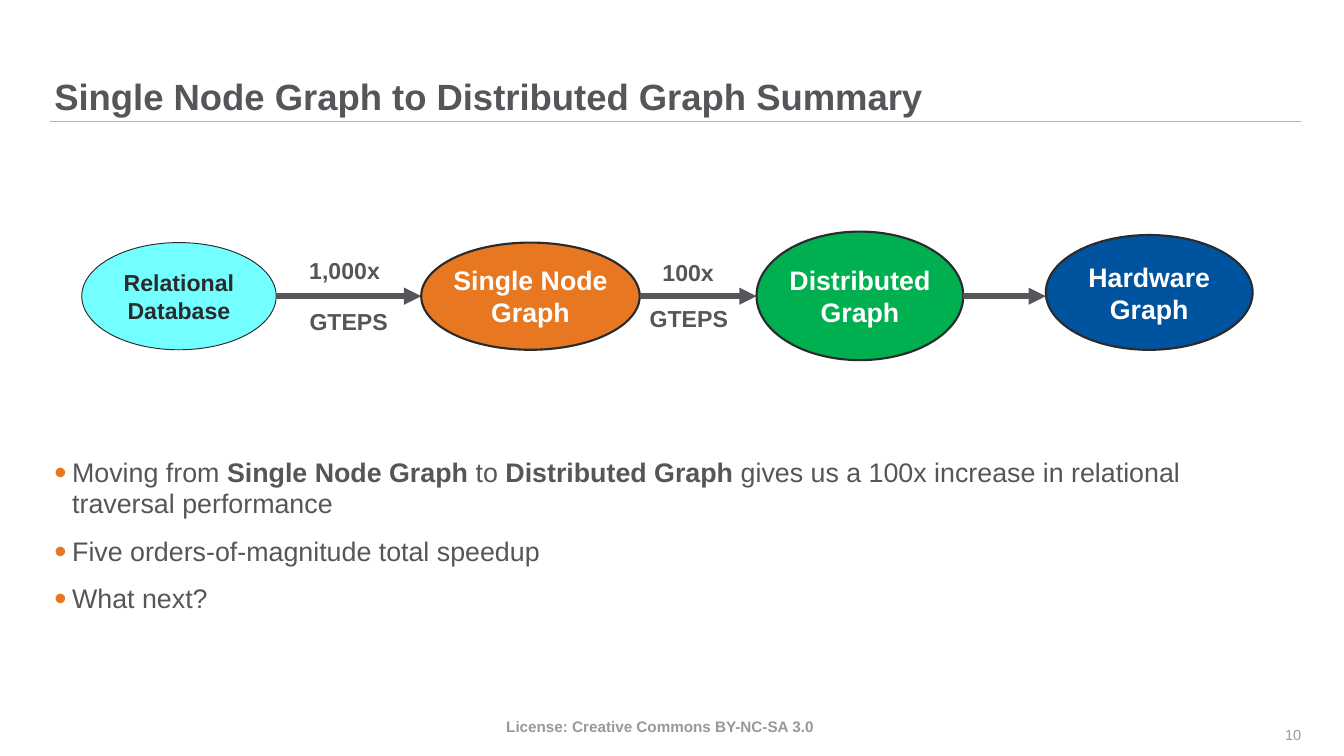
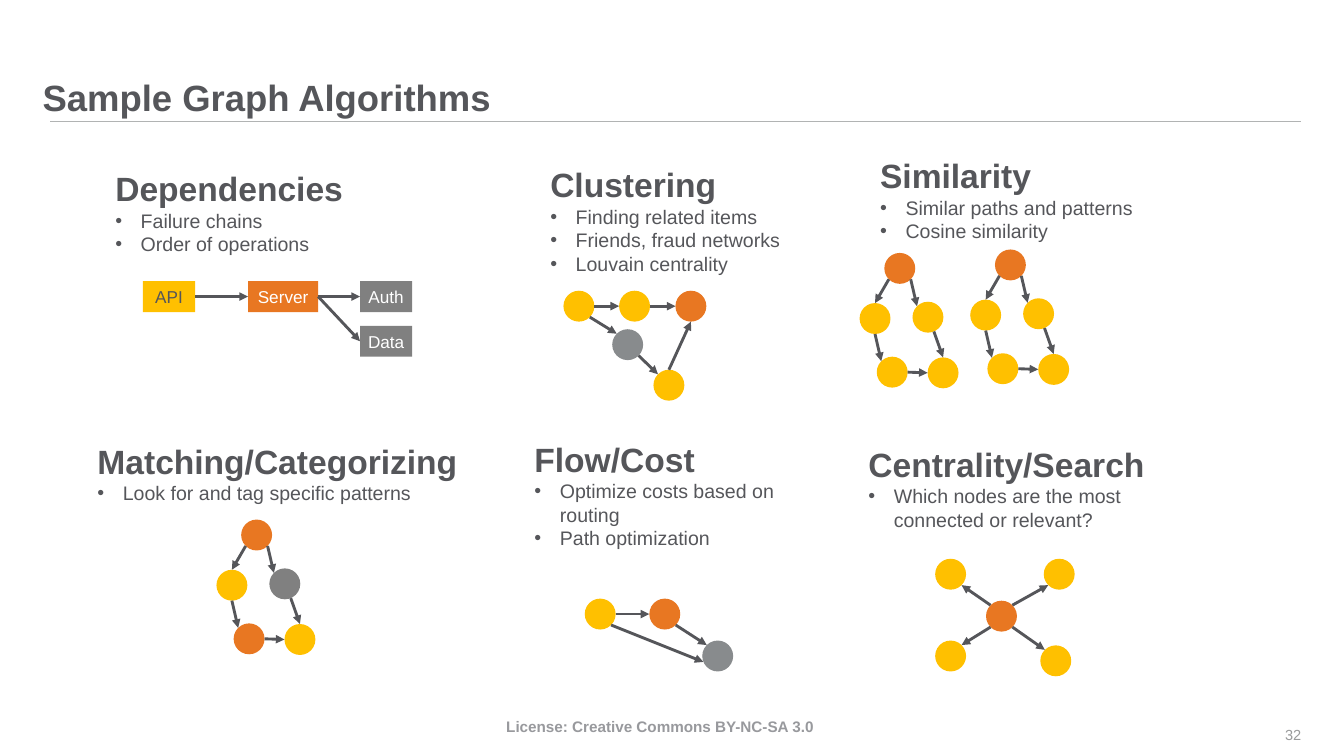
from dataclasses import dataclass
from math import cos, radians, sin

from lxml import etree
from pptx import Presentation
from pptx import util as u
from pptx.dml.color import RGBColor
from pptx.enum import shapes, text
from pptx.oxml import ns


@dataclass(frozen=True)
class Theme:
    """Colours, font and type sizes of the deck."""
    font: str = "Arial"
    ink: str = "55565A"
    dark: str = "2A2B2D"
    white: str = "FFFFFF"
    rule: str = "B1B3B3"
    foot: str = "98999D"
    page: str = "999A9B"
    cyan: str = "73FEFF"
    orange: str = "E87722"
    green: str = "00B050"
    blue: str = "00549F"
    gold: str = "FFC000"
    gray: str = "808080"
    steel: str = "888B8D"
    title: float = 38.2
    head: float = 35.2
    body: float = 28.1
    stage: float = 28
    label: float = 24.2
    item: float = 20.5
    tag: float = 18
    note: float = 16
    num: float = 15.3


T = Theme()
SCALE = 9144
DOT = 45
LEFT, MID, RIGHT = text.PP_ALIGN.LEFT, text.PP_ALIGN.CENTER, text.PP_ALIGN.RIGHT
OVAL, RECT = shapes.MSO_SHAPE.OVAL, shapes.MSO_SHAPE.RECTANGLE
WINDS = "E ESE SE SSE S SSW SW WSW W WNW NW NNW N NNE NE ENE".split()

FLOW = [
    (0, 16, 283, 156, T.cyan, T.dark, T.label, 1, "Relational\nDatabase"),
    (494, 16, 318, 156, T.orange, T.white, T.stage, 2.25, "Single Node\nGraph"),
    (982, 0, 301, 187, T.green, T.white, T.stage, 2.25, "Distributed\nGraph"),
    (1403, 5, 301, 167, T.blue, T.white, T.stage, 2.25, "Hardware\nGraph"),
]
RATES = [(302, 31, "1,000x"), (308, 106, "GTEPS"),
         (802, 34, "100x"), (803, 101, "GTEPS")]
POINTS = [
    "Moving from *Single Node Graph *to* Distributed Graph *gives us a 100x "
    "increase in relational traversal performance",
    "Five orders-of-magnitude total speedup",
    "What next?",
]
CARDS = [
    (158, 240, 394, 138, "Dependencies", ["Failure chains", "Order of operations"]),
    (791, 234, 359, 173, "Clustering",
     ["Finding related items", "Friends, fraud networks", "Louvain centrality"]),
    (1271, 221, 395, 173, "Similarity",
     ["Similar paths and patterns", "Cosine similarity"]),
    (132, 636, 593, 164, "Matching/Categorizing",
     ["Look for and tag specific patterns"]),
    (768, 634, 416, 173, "Flow/Cost",
     ["Optimize costs based on routing", "Path optimization"]),
    (1254, 641, 470, 138, "Centrality/Search",
     ["Which nodes are the most connected or relevant?"]),
]
CALLS = [(0, 0, 76, T.gold, T.ink, "API"), (153, 0, 102, T.orange, T.white, "Server"),
         (316, 0, 76, T.gray, T.white, "Auth"), (316, 65, 76, T.gray, T.white, "Data")]
LOOP = [(36, 0), (0, 73), (77, 71), (25, 151), (99, 152)]
TURNS = "0SE-2NW 0SW-1N 1S-3NW 2SSE-4N 3E-4W"
ALIKE = [T.orange] + [T.gold] * 4
MATCH = [T.orange, T.gold, T.gray, T.orange, T.gold]
GRAPHS = [
    (820, 423, [(0, 0), (81, 0), (163, 0), (71, 56), (131, 115)],
     [T.gold, T.gold, T.orange, T.steel, T.gold],
     "0E-1W 1E-2W 0SE-3NW 3SE-4NW 4N-2S"),
    (1251, 368, LOOP, ALIKE, TURNS),
    (1412, 363, LOOP, ALIKE, TURNS),
    (315, 756, LOOP, MATCH, TURNS),
    (851, 871, [(0, 0), (94, 0), (171, 61)], [T.gold, T.orange, T.steel],
     "0E-1W 1SE-2NW 0SE-2WSW"),
    (1361, 813, [(74, 61), (158, 0), (153, 126), (0, 0), (0, 119)],
     [T.orange] + [T.gold] * 4, "0NE-1SW 0SE-2NW 0NW-3SE 0SW-4NE"),
]


def px(*sizes):
    """Turn px into EMU."""
    return [u.Emu(round(n * SCALE)) for n in sizes]


def rgb(tone):
    """Make a colour from its hex code."""
    return RGBColor.from_string(tone)


def style(para, size, tone, bold=False, align=LEFT):
    """Format one paragraph."""
    para.alignment = align
    font = para.font
    font.name, font.size, font.bold = T.font, u.Pt(size), bold
    font.color.rgb = rgb(tone)


def write(frame, words, *look):
    """Fill a frame with one paragraph per line."""
    frame.text = words
    for para in frame.paragraphs:
        style(para, *look)


def bullet(para, inset, tone=None, pct=None):
    """Give a paragraph a hanging bullet."""
    props = para._p.get_or_add_pPr()
    props.set("marL", str(inset * SCALE))
    props.set("indent", str(-inset * SCALE))
    if tone:
        color = etree.SubElement(props, ns.qn("a:buClr"))
        etree.SubElement(color, ns.qn("a:srgbClr"), val=tone)
    if pct:
        etree.SubElement(props, ns.qn("a:buSzPct"), val=str(pct * 1000))
    etree.SubElement(props, ns.qn("a:buFont"), typeface=T.font)
    etree.SubElement(props, ns.qn("a:buChar"), char="•")


def bare(frame, anchor):
    """Drop the insets of a frame and anchor it."""
    frame.margin_left = frame.margin_right = 0
    frame.margin_top = frame.margin_bottom = 0
    frame.vertical_anchor = anchor
    frame.auto_size = text.MSO_AUTO_SIZE.NONE
    frame.word_wrap = True


def place(shape, box):
    """Move a placeholder to a box."""
    shape.left, shape.top, shape.width, shape.height = px(*box)


def label(slide, box, words, *look):
    """Add a wrapped text box."""
    frame = slide.shapes.add_textbox(*px(*box)).text_frame
    frame.word_wrap = True
    write(frame, words, *look)
    return frame


def solid(slide, kind, box, tone, edge=0):
    """Add a filled shape, outlined when an edge width is given."""
    shape = slide.shapes.add_shape(kind, *px(*box))
    shape.shadow.inherit = False
    shape.fill.solid()
    shape.fill.fore_color.rgb = rgb(tone)
    if edge:
        shape.line.color.rgb = rgb(T.dark)
        shape.line.width = u.Pt(edge)
    else:
        shape.line.fill.background()
    return shape


def line(slide, start, end, width, tone=T.ink, arrow=True):
    """Draw a straight line or arrow."""
    link = slide.shapes.add_connector(
        shapes.MSO_CONNECTOR.STRAIGHT, *px(*start, *end))
    link.line.color.rgb = rgb(tone)
    link.line.width = u.Pt(width)
    props = link._element.spPr
    if arrow:
        etree.SubElement(props.find(ns.qn("a:ln")), ns.qn("a:tailEnd"), type="triangle")
    etree.SubElement(props, ns.qn("a:effectLst"))


def site(box, wind):
    """Find the point of a node's edge in a compass direction."""
    x, y, w, h = box
    turn = radians(22.5 * WINDS.index(wind))
    return x + w / 2 * (1 + cos(turn)), y + h / 2 * (1 + sin(turn))


def join(slide, boxes, edges):
    """Draw arrows between nodes, each edge named like 0SE-2NW."""
    for edge in edges.split():
        ends = [site(boxes[int(end[0])], end[1:]) for end in edge.split("-")]
        line(slide, *ends, 3)


def base(deck, layout, box, name, page):
    """Start a slide with title, rule, licence and page number."""
    slide = deck.slides.add_slide(deck.slide_layouts[layout])
    line(slide, (73, 177), (1894, 177), 1, T.rule, False)
    title = slide.shapes.title
    place(title, box)
    bare(title.text_frame, text.MSO_ANCHOR.BOTTOM)
    write(title.text_frame, name, T.title, T.ink, True)
    title.text_frame.paragraphs[0].line_spacing = 0.9
    label(slide, (575, 1039, 771, 37), "License: Creative Commons BY-NC-SA 3.0",
          T.note, T.foot, True, MID)
    frame = label(slide, (1807, 1040, 87, 59), page, T.num, T.page, False, RIGHT)
    bare(frame, text.MSO_ANCHOR.MIDDLE)
    return slide


def flow(slide, x, y):
    """Draw the stages, their arrows and the speedup labels."""
    for left, top, w, h, tone, ink, size, edge, words in FLOW:
        oval = solid(slide, OVAL, (x + left, y + top, w, h), tone, edge)
        oval.text_frame.word_wrap = False
        oval.text_frame.vertical_anchor = text.MSO_ANCHOR.MIDDLE
        write(oval.text_frame, words, size, ink, True, MID)
    for last, after in zip(FLOW, FLOW[1:]):
        line(slide, (x + last[0] + last[2], y + 94), (x + after[0], y + 94), 6)
    for left, top, words in RATES:
        label(slide, (x + left, y + top, 161, 51), words, T.label, T.ink, True, MID)


def points(slide, box):
    """Fill the body list, with starred words in bold."""
    body = slide.placeholders[1]
    place(body, box)
    frame = body.text_frame
    bare(frame, text.MSO_ANCHOR.TOP)
    for i, words in enumerate(POINTS):
        para = frame.add_paragraph() if i else frame.paragraphs[0]
        bullet(para, 26, T.orange, 130)
        style(para, T.body, T.ink)
        para.line_spacing = 0.95
        para.space_before = u.Pt(10.2 if i else 0)
        para.space_after = u.Pt(7.7)
        for k, part in enumerate(words.split("*")):
            run = para.add_run()
            run.text = part
            run.font.bold = k % 2 == 1


def card(slide, box, head, items):
    """Write a heading with its bulleted items."""
    frame = label(slide, box, head, T.head, T.ink, True)
    for words in items:
        para = frame.add_paragraph()
        para.text = words
        bullet(para, 37)
        style(para, T.item, T.ink)


def calls(slide, x, y):
    """Draw the service dependency boxes."""
    boxes = [(x + left, y + top, w, DOT) for left, top, w, *_ in CALLS]
    for box, (*_, tone, ink, words) in zip(boxes, CALLS):
        shape = solid(slide, RECT, box, tone)
        shape.text_frame.vertical_anchor = text.MSO_ANCHOR.MIDDLE
        write(shape.text_frame, words, T.tag, ink, False, MID)
    join(slide, boxes, "0E-1W 1E-2W 1E-3W")


def graph(slide, x, y, spots, tones, edges):
    """Draw a graph of round nodes."""
    boxes = [(x + left, y + top, DOT, DOT) for left, top in spots]
    for box, tone in zip(boxes, tones):
        solid(slide, OVAL, box, tone)
    join(slide, boxes, edges)


def main():
    """Build and save the deck."""
    deck = Presentation()
    deck.slide_width, deck.slide_height = px(1956, 1100)
    slide = base(deck, 1, (79, 0, 1815, 172),
                 "Single Node Graph to Distributed Graph Summary", "10")
    flow(slide, 119, 337)
    points(slide, (79, 667, 1728, 254))
    slide = base(deck, 5, (62, 50, 1811, 124), "Sample Graph Algorithms", "32")
    for *box, head, items in CARDS:
        card(slide, box, head, items)
    calls(slide, 208, 409)
    for parts in GRAPHS:
        graph(slide, *parts)
    deck.save("out.pptx")


if __name__ == "__main__":
    main()
